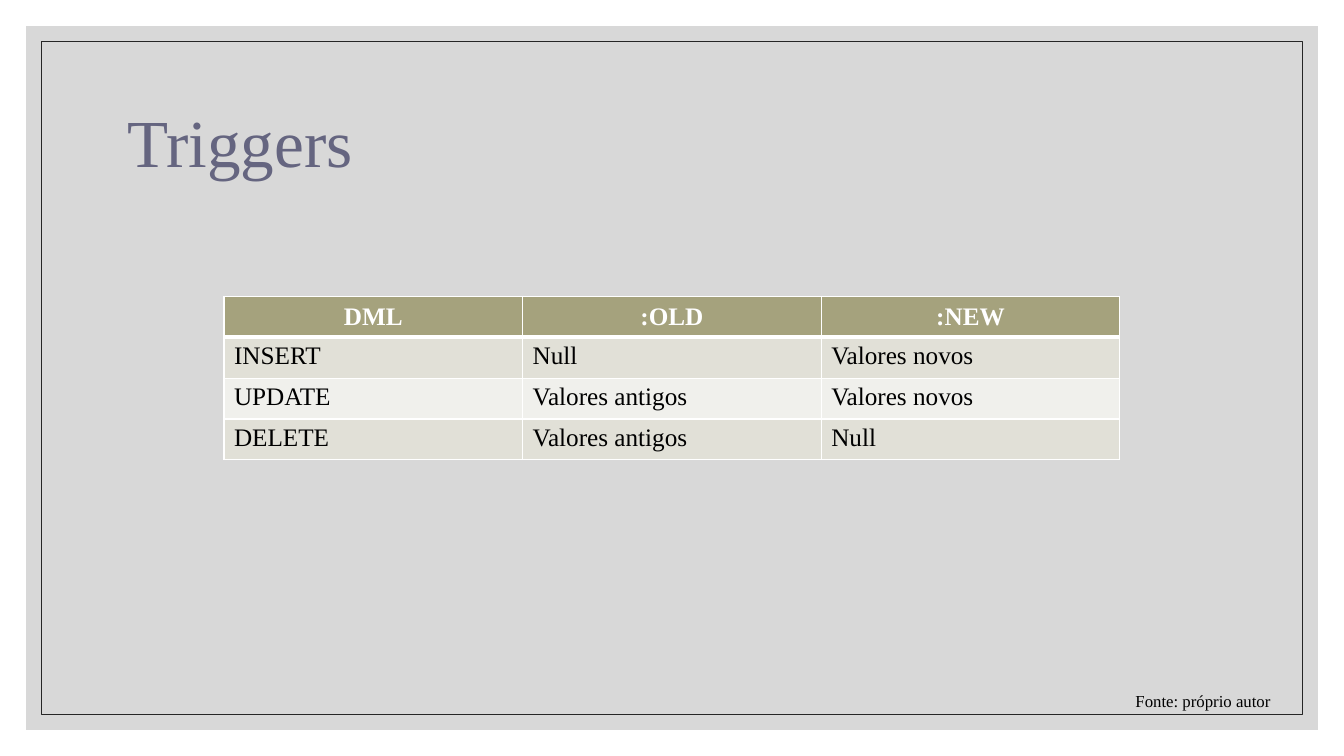
import pptx
import pptx.dml.color
import pptx.enum.shapes
import pptx.enum.text
import pptx.oxml
import pptx.oxml.ns
import pptx.util
from pptx.util import Pt

RGBColor = pptx.dml.color.RGBColor
PANEL_GREY = RGBColor(0xBF, 0xBF, 0xBF)
FRAME_LINE = RGBColor(0x26, 0x26, 0x26)
TITLE_PURPLE = RGBColor(0x65, 0x65, 0x80)
HEADER_OLIVE = RGBColor(0xA5, 0xA2, 0x7D)
ODD_ROW = RGBColor(0xE1, 0xE0, 0xD7)
EVEN_ROW = RGBColor(0xF0, 0xF0, 0xEC)
WHITE = RGBColor(0xFF, 0xFF, 0xFF)
BLACK = RGBColor(0, 0, 0)
FONT = "Times New Roman"
ALIGN = pptx.enum.text.PP_ALIGN
ANCHOR = pptx.enum.text.MSO_ANCHOR

SLIDE_WIDTH, SLIDE_HEIGHT = 960, 540
TRIGGER_VALUES = [
    ["DML", ":OLD", ":NEW"],
    ["INSERT", "Null", "Valores novos"],
    ["UPDATE", "Valores antigos", "Valores novos"],
    ["DELETE", "Valores antigos", "Null"],
]


def style_paragraph(paragraph, size, color, bold=False, alignment=ALIGN.LEFT):
    paragraph.alignment = alignment
    font = paragraph.font
    font.name, font.size, font.bold = FONT, Pt(size), bold
    font.color.rgb = color


def add_inset_rectangle(slide, inset):
    """Add a rectangle that lies the same distance inside every slide edge."""
    shape = slide.shapes.add_shape(
        pptx.enum.shapes.MSO_SHAPE.RECTANGLE, Pt(inset), Pt(inset),
        Pt(SLIDE_WIDTH - 2 * inset), Pt(SLIDE_HEIGHT - 2 * inset))
    shape.shadow.inherit = False
    return shape


def add_background(slide):
    panel = add_inset_rectangle(slide, 18.7)
    panel.fill.solid()
    panel.fill.fore_color.rgb = PANEL_GREY
    panel.line.fill.background()
    color = panel.fill._xPr.find(".//" + pptx.oxml.ns.qn("a:srgbClr"))
    color.append(pptx.oxml.parse_xml(
        f'<a:alpha {pptx.oxml.ns.nsdecls("a")} val="60000"/>'))

    frame = add_inset_rectangle(slide, 29.5)
    frame.fill.background()
    frame.line.color.rgb = FRAME_LINE
    frame.line.width = Pt(0.5)


def add_title(slide, text, left, top, width, height):
    title = slide.shapes.title
    title.left, title.top = Pt(left), Pt(top)
    title.width, title.height = Pt(width), Pt(height)
    text_frame = title.text_frame
    text_frame.text = text
    text_frame.auto_size = pptx.enum.text.MSO_AUTO_SIZE.NONE
    text_frame.vertical_anchor = ANCHOR.MIDDLE
    paragraph = text_frame.paragraphs[0]
    paragraph.line_spacing = 0.9
    style_paragraph(paragraph, 48, TITLE_PURPLE)


def set_borders(cell, bottom_width, top_width):
    widths = {"L": 1, "R": 1, "T": top_width, "B": bottom_width}
    properties = cell._tc.get_or_add_tcPr()
    for side, width in widths.items():
        properties.append(pptx.oxml.parse_xml(
            f'<a:ln{side} {pptx.oxml.ns.nsdecls("a")} w="{Pt(width)}">'
            f'<a:solidFill><a:srgbClr val="{WHITE}"/></a:solidFill></a:ln{side}>'))


def add_values_table(slide, rows, left, top, width, height):
    table = slide.shapes.add_table(
        len(rows), len(rows[0]), Pt(left), Pt(top), Pt(width), Pt(height)).table
    for row_index, values in enumerate(rows):
        is_header = row_index == 0
        for column_index, value in enumerate(values):
            cell = table.cell(row_index, column_index)
            set_borders(cell, 3 if is_header else 1, 3 if row_index == 1 else 1)
            cell.fill.solid()
            cell.text = value
            paragraph = cell.text_frame.paragraphs[0]
            if is_header:
                cell.fill.fore_color.rgb = HEADER_OLIVE
                cell.vertical_anchor = ANCHOR.MIDDLE
                style_paragraph(paragraph, 18, WHITE, True, ALIGN.CENTER)
            else:
                cell.fill.fore_color.rgb = ODD_ROW if row_index % 2 else EVEN_ROW
                style_paragraph(paragraph, 18, BLACK)


def add_source_note(slide, text, left, top, width, height):
    note = slide.shapes.add_textbox(Pt(left), Pt(top), Pt(width), Pt(height))
    note.text_frame.word_wrap = True
    note.text_frame.text = text
    style_paragraph(note.text_frame.paragraphs[0], 12, BLACK)


def main():
    presentation = pptx.Presentation()
    presentation.slide_width = Pt(SLIDE_WIDTH)
    presentation.slide_height = Pt(SLIDE_HEIGHT)
    title_only = presentation.slide_layouts[5]
    slide = presentation.slides.add_slide(title_only)
    add_background(slide)
    # The title placeholder comes first by default; bring it above the panel.
    slide.shapes._spTree.append(slide.shapes.title._element)
    add_title(slide, "Triggers", 84, 50.4, 792, 108)
    add_values_table(slide, TRIGGER_VALUES, 160, 211.7, 640, 116.8)
    add_source_note(slide, "Fonte: próprio autor", 804, 489.6, 111, 21.6)
    presentation.save("out.pptx")


if __name__ == "__main__":
    main()
